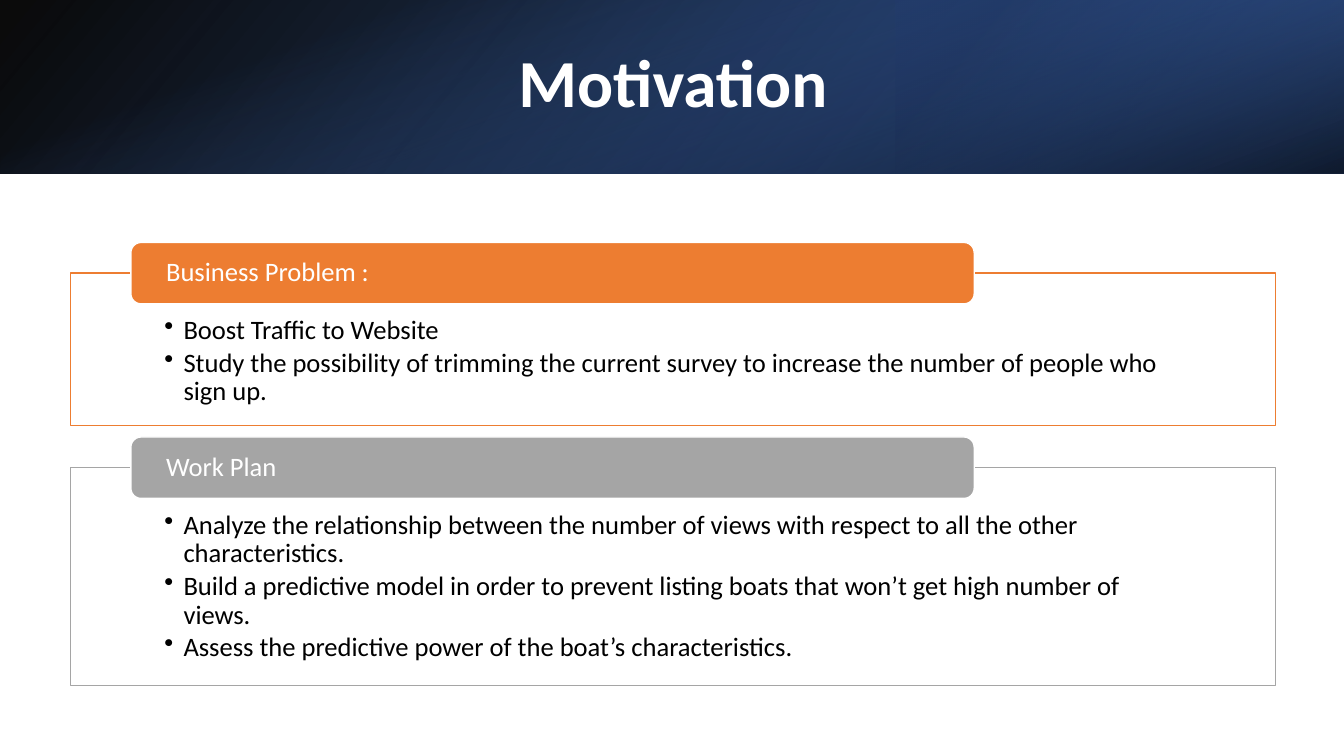
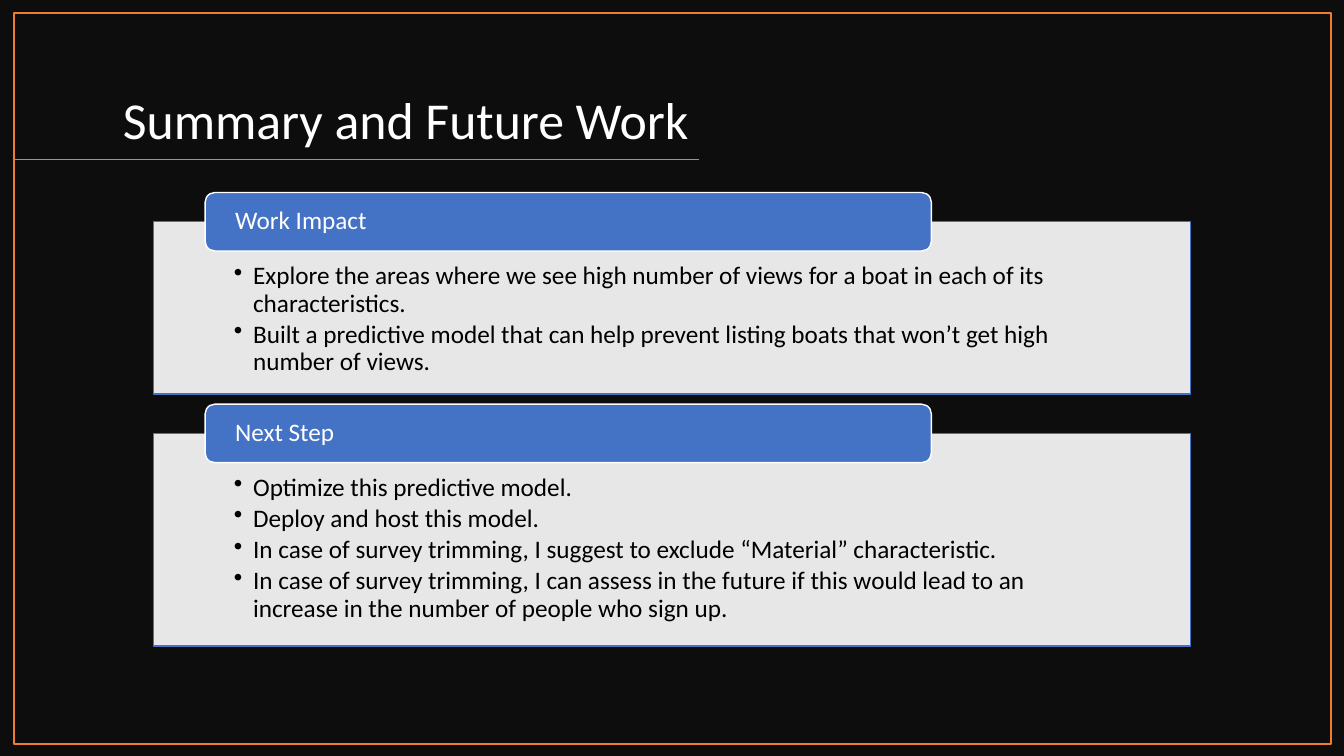
from dataclasses import dataclass

from lxml.etree import SubElement
from pptx import Presentation
from pptx.dml.color import RGBColor
from pptx.enum.shapes import MSO_CONNECTOR as Connector
from pptx.enum.shapes import MSO_SHAPE as Preset
from pptx.enum.text import MSO_ANCHOR as Anchor
from pptx.enum.text import MSO_AUTO_SIZE as AutoSize
from pptx.enum.text import PP_ALIGN as Align
from pptx.oxml.ns import qn
from pptx.util import Inches, Pt

BLACK = RGBColor(0x00, 0x00, 0x00)
WHITE = RGBColor(0xFF, 0xFF, 0xFF)
CHARCOAL = RGBColor(0x0D, 0x0D, 0x0D)
NAVY = RGBColor(0x20, 0x38, 0x64)
DEEP_BLUE = RGBColor(0x2F, 0x55, 0x97)
BLUE = RGBColor(0x44, 0x72, 0xC4)
ORANGE = RGBColor(0xED, 0x7D, 0x31)
GREY = RGBColor(0xA5, 0xA5, 0xA5)

FONT = "Calibri"
SLIDE_WIDTH, SLIDE_HEIGHT = 13.33, 7.5
BAND_HEIGHT = 1.72
LINE_WIDTH = Pt(1)


@dataclass
class CardStyle:
    left: float
    width: float
    text_size: int
    header_height: float
    header_inset: float
    body_inset: float
    body_top_inset: float
    gap: float


WIDE_CARDS = CardStyle(0.7, 11.95, 19, 0.61, 0.32, 0.93, 0.43, 0.42)
NARROW_CARDS = CardStyle(1.52, 10.29, 18, 0.58, 0.27, 0.8, 0.41, 0.39)


class Deck:
    def __init__(self):
        self.presentation = Presentation()
        self.presentation.slide_width = Inches(SLIDE_WIDTH)
        self.presentation.slide_height = Inches(SLIDE_HEIGHT)
        self.slide = None

    def add_slide(self, background=WHITE):
        title_only = self.presentation.slide_layouts[5]
        self.slide = self.presentation.slides.add_slide(title_only)
        fill = self.slide.background.fill
        fill.solid()
        fill.fore_color.rgb = background

    def box(self, preset, left, top, width, height, fill=None, line=None, opacity=100):
        shape = self.slide.shapes.add_shape(
            preset, Inches(left), Inches(top), Inches(width), Inches(height))
        shape.shadow.inherit = False
        if fill is None:
            shape.fill.background()
        else:
            shape.fill.solid()
            shape.fill.fore_color.rgb = fill
            if opacity < 100:
                color = shape._element.spPr.find(qn("a:solidFill"))[0]
                self.set_opacity(color, opacity)
        if line is None:
            shape.line.fill.background()
        else:
            shape.line.color.rgb = line
            shape.line.width = LINE_WIDTH
        return shape

    def set_opacity(self, color, opacity):
        SubElement(color, qn("a:alpha"), val=str(opacity * 1000))

    def gradient_band(self, left, top, width, height, stops, angle, rotation=0, flip=False):
        shape = self.box(Preset.RECTANGLE, left, top, width, height)
        shape.rotation = rotation
        properties = shape._element.spPr
        if flip:
            properties.find(qn("a:xfrm")).set("flipH", "1")
        gradient = SubElement(properties, qn("a:gradFill"), rotWithShape="1")
        properties.replace(properties.find(qn("a:noFill")), gradient)
        stop_list = SubElement(gradient, qn("a:gsLst"))
        for position, rgb, opacity in stops:
            stop = SubElement(stop_list, qn("a:gs"), pos=str(position * 1000))
            color = SubElement(stop, qn("a:srgbClr"), val=str(rgb))
            self.set_opacity(color, opacity)
        SubElement(gradient, qn("a:lin"), ang=str(angle * 60000), scaled="0")

    def connector(self, start, end, color):
        line = self.slide.shapes.add_connector(
            Connector.STRAIGHT, *(Inches(value) for value in start + end))
        line.line.color.rgb = color
        line.line.width = LINE_WIDTH
        SubElement(line._element.spPr, qn("a:effectLst"))

    def run(self, paragraph, text, size, color, bold=False):
        run = paragraph.add_run()
        run.text = text
        run.font.name = FONT
        run.font.size = Pt(size)
        run.font.bold = bold
        run.font.color.rgb = color

    def title(self, text, left, top, width, height, size, align, anchor,
              bold=False, spacing=1.0):
        title = self.slide.shapes.title
        title.left, title.top = Inches(left), Inches(top)
        title.width, title.height = Inches(width), Inches(height)
        frame = title.text_frame
        frame.auto_size = AutoSize.NONE
        frame.word_wrap = True
        frame.vertical_anchor = anchor
        paragraph = frame.paragraphs[0]
        paragraph.alignment = align
        paragraph.line_spacing = spacing
        self.run(paragraph, text, size, WHITE, bold)
        self.slide.shapes._spTree.append(title._element)

    def text_frame(self, shape, anchor, side_inset, top_inset=0):
        frame = shape.text_frame
        frame.word_wrap = True
        frame.vertical_anchor = anchor
        frame.margin_left = frame.margin_right = Inches(side_inset)
        frame.margin_top = Inches(top_inset)
        frame.margin_bottom = 0
        return frame

    def card(self, style, top, height, heading, bullets, color, line):
        body = self.box(Preset.RECTANGLE, style.left, top, style.width, height,
                        WHITE, line, opacity=90)
        frame = self.text_frame(body, Anchor.TOP, style.body_inset, style.body_top_inset)
        for index, text in enumerate(bullets):
            paragraph = frame.add_paragraph() if index else frame.paragraphs[0]
            paragraph.alignment = Align.LEFT
            paragraph.line_spacing = 0.9
            paragraph.space_after = Pt(2.8)
            properties = paragraph._p.get_or_add_pPr()
            properties.set("marL", str(Inches(0.19)))
            properties.set("indent", str(-Inches(0.19)))
            SubElement(properties, qn("a:buChar"), char="•")
            self.run(paragraph, text, style.text_size, BLACK)

        header = self.box(Preset.ROUNDED_RECTANGLE, style.left + 0.05 * style.width,
                          top - style.header_height / 2, 0.7 * style.width,
                          style.header_height, color, WHITE)
        frame = self.text_frame(header, Anchor.MIDDLE, style.header_inset)
        paragraph = frame.paragraphs[0]
        paragraph.alignment = Align.LEFT
        paragraph.line_spacing = 0.9
        self.run(paragraph, heading, style.text_size, WHITE)

    def card_stack(self, style, top, cards):
        for height, heading, bullets, color in cards:
            self.card(style, top, height, heading, bullets, color, color)
            top += height + style.gap


def motivation(deck):
    deck.add_slide()
    deck.gradient_band(0, 0, SLIDE_WIDTH, BAND_HEIGHT,
                       [(0, BLACK, 96), (100, DEEP_BLUE, 100)], 140, flip=True)
    deck.gradient_band(SLIDE_WIDTH * 2 / 3, 0, SLIDE_WIDTH / 3, BAND_HEIGHT,
                       [(19, NAVY, 68), (100, BLUE, 79)], 320, rotation=180, flip=True)
    offset = (SLIDE_WIDTH - BAND_HEIGHT) / 2
    deck.gradient_band(offset, -offset, BAND_HEIGHT, SLIDE_WIDTH,
                       [(23, BLUE, 0), (99, BLACK, 74)], 340, rotation=90)
    deck.card_stack(WIDE_CARDS, 2.71, [
        (1.51, "Business Problem :", [
            "Boost Traffic to Website",
            "Study the possibility of trimming the current survey to increase "
            "the number of people who sign up.",
        ], ORANGE),
        (2.16, "Work Plan", [
            "Analyze the relationship between the number of views with respect "
            "to all the other characteristics.",
            "Build a predictive model in order to prevent listing boats that "
            "won’t get high number of views.",
            "Assess the predictive power of the boat’s characteristics.",
        ], GREY),
    ])
    deck.title("Motivation", 4.27, 0.35, 4.81, 0.91, 48, Align.CENTER, Anchor.TOP, bold=True)


def summary(deck):
    deck.add_slide(CHARCOAL)
    deck.title("Summary and Future Work", 0.92, 0.42, 6.01, 1.12, 37,
               Align.RIGHT, Anchor.BOTTOM, spacing=0.9)
    deck.connector((6.93, 1.58), (0.14, 1.58), ORANGE)
    deck.box(Preset.RECTANGLE, 0.14, 0.13, 13.06, 7.25, line=ORANGE)
    deck.card_stack(NARROW_CARDS, 2.2, [
        (1.71, "Work Impact", [
            "Explore the areas where we see high number of views for a boat in "
            "each of its characteristics.",
            "Built a predictive model that can help prevent listing boats that "
            "won’t get high number of views.",
        ], BLUE),
        (2.11, "Next Step", [
            "Optimize this predictive model.",
            "Deploy and host this model.",
            "In case of survey trimming, I suggest to exclude “Material” characteristic.",
            "In case of survey trimming, I can assess in the future if this would "
            "lead to an increase in the number of people who sign up.",
        ], BLUE),
    ])


def main():
    deck = Deck()
    motivation(deck)
    summary(deck)
    deck.presentation.save("out.pptx")


if __name__ == "__main__":
    main()
